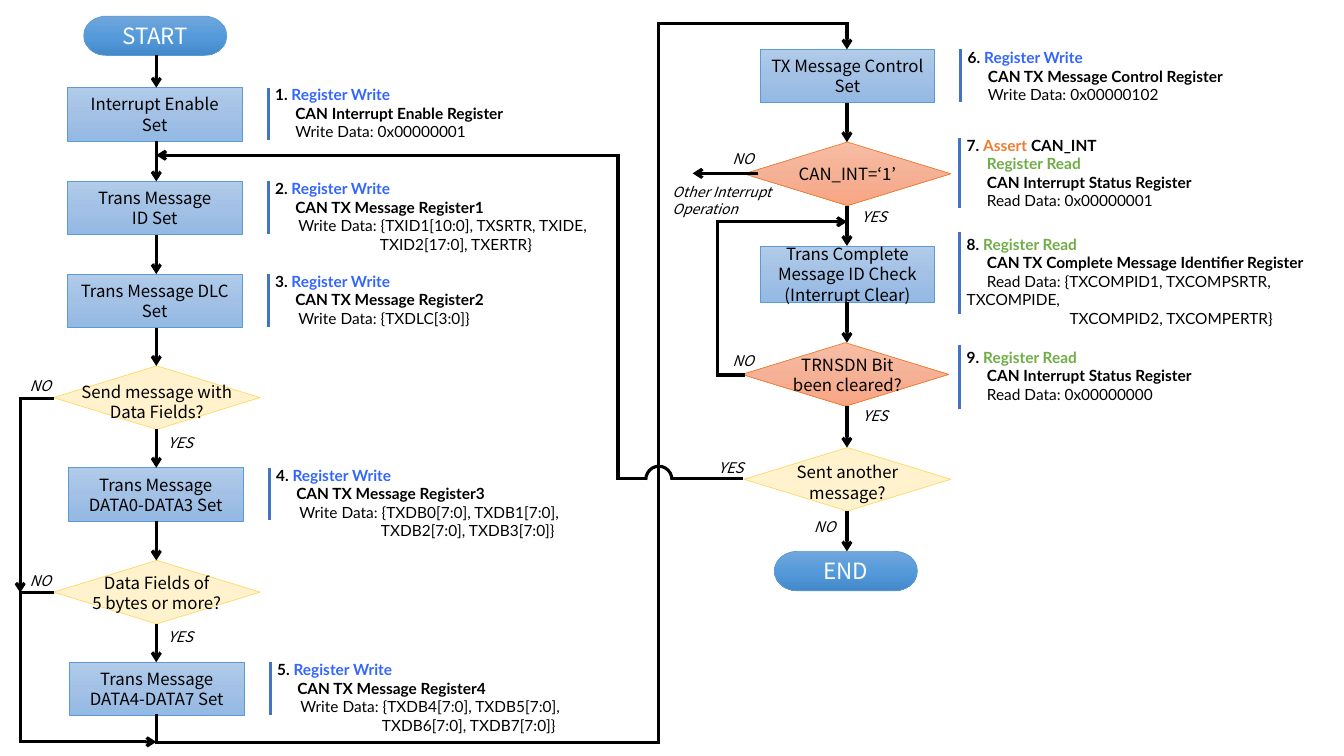
from copy import deepcopy
from itertools import pairwise

from pptx import Presentation
from pptx.dml.color import RGBColor
from pptx.enum.shapes import MSO_CONNECTOR, MSO_SHAPE
from pptx.enum.text import MSO_ANCHOR, PP_ALIGN
from pptx.oxml.ns import qn
from pptx.util import Inches, Pt

FLOW_FONT, NOTE_FONT = "Noto Sans CJK JP", "Lato"
BLACK, BAR_BLUE = "000000", "4472C4"
ACTIONS = {"Register Write": "3366FF", "Register Read": "70AD47", "Assert ": "ED7D31"}
BLUE_STEP = ("B1CBE9", "A3C1E5", "93B9E4")
BLUE_CAP = ("71A6DB", "559BDB", "448ACA")
ORANGE_CHECK = ("F7BDA5", "F5B196", "F8A582")

KINDS = {
    "cap": (MSO_SHAPE.FLOWCHART_TERMINATOR, 1.42, 0.39, BLUE_CAP, "5B9BD5"),
    "step": (MSO_SHAPE.RECTANGLE, 1.73, 0.53, BLUE_STEP, "5B9BD5"),
    "tall step": (MSO_SHAPE.RECTANGLE, 1.73, 0.56, BLUE_STEP, "5B9BD5"),
    "choice": (MSO_SHAPE.FLOWCHART_DECISION, 2.05, 0.63, ("FFF2CC",), "FFD966"),
    "check": (MSO_SHAPE.FLOWCHART_DECISION, 2.05, 0.63, ORANGE_CHECK, "ED7D31"),
}


def colour(value):
    """Turn a hex string into a colour."""
    return RGBColor.from_string(value)


def write(paragraph, text, size=12, font=FLOW_FONT, color=BLACK, bold=False,
          italic=False, align=PP_ALIGN.LEFT):
    """Add one formatted run to a paragraph."""
    paragraph.alignment = align
    run = paragraph.add_run()
    run.text = text
    run.font.name, run.font.size = font, Pt(size)
    run.font.bold, run.font.italic = bold, italic
    run.font.color.rgb = colour(color)


def next_paragraph(frame, index):
    """Return the first paragraph, or a new one after it."""
    return frame.add_paragraph() if index else frame.paragraphs[0]


def fill_frame(frame, text, anchor=MSO_ANCHOR.MIDDLE, **style):
    """Write each line of text as a paragraph of a wrapped frame."""
    frame.word_wrap = True
    frame.vertical_anchor = anchor
    for index, line in enumerate(text.split("\n")):
        write(next_paragraph(frame, index), line, **style)


def add_box(slide, left, top, width, height):
    """Add an empty text box and return its frame."""
    box = slide.shapes.add_textbox(Inches(left), Inches(top), Inches(width), Inches(height))
    return box.text_frame


def paint(shape, colours, line):
    """Give a shape a plain or vertical gradient fill and a thin outline."""
    shape.shadow.inherit = False
    shape.line.color.rgb, shape.line.width = colour(line), Pt(0.5)
    if len(colours) == 1:
        shape.fill.solid()
        shape.fill.fore_color.rgb = colour(colours[0])
        return
    shape.fill.gradient()
    shape.fill.gradient_angle = 270
    stop_list = shape._element.spPr.find(qn("a:gradFill")).find(qn("a:gsLst"))
    stop_list.append(deepcopy(stop_list[0]))
    for stop, value, position in zip(shape.fill.gradient_stops, colours, (0, 0.5, 1)):
        stop.color.rgb, stop.position = colour(value), position


def add_line(slide, start, end, color=BLACK, arrow=False):
    """Draw a straight line, with an arrowhead at its end on request."""
    points = [Inches(value) for value in (*start, *end)]
    line = slide.shapes.add_connector(MSO_CONNECTOR.STRAIGHT, *points)
    line.line.color.rgb, line.line.width = colour(color), Pt(2.25)
    properties = line._element.spPr
    outline = properties.find(qn("a:ln"))
    if arrow:
        outline.makeelement(qn("a:tailEnd"), {})
        head = outline.makeelement(qn("a:tailEnd"), {"type": "arrow"})
        outline.append(head)
    properties.append(properties.makeelement(qn("a:effectLst"), {}))
    return outline


def add_route(slide, left, top, points, arrow=True):
    """Join points by lines, the last one with an arrowhead."""
    points = [(left + x, top + y) for x, y in points]
    segments = list(pairwise(points))
    for index, (start, end) in enumerate(segments):
        last = index == len(segments) - 1
        outline = add_line(slide, start, end, arrow=arrow and last)
        if not last:
            outline.set("cap", "sq")


def add_node(slide, axis, left, top, kind, text, drop):
    """Add a flowchart node with its text."""
    preset, width, height, colours, line = KINDS[kind]
    shape = slide.shapes.add_shape(preset, Inches(left), Inches(top),
                                   Inches(width), Inches(height))
    paint(shape, colours, line)
    if preset == MSO_SHAPE.FLOWCHART_DECISION:
        frame = add_box(slide, axis - 0.91, top + 0.16 + drop, 1.83, 0.31)
    else:
        frame = shape.text_frame
    style = {"size": 16, "color": "FFFFFF"} if kind == "cap" else {}
    fill_frame(frame, text, align=PP_ALIGN.CENTER, **style)


def add_note(slide, left, top, width, bar_top, bar_height, lines):
    """Add a register note with a bar at its left."""
    add_line(slide, (left + 0.03, bar_top), (left + 0.03, bar_top + bar_height), BAR_BLUE)
    frame = add_box(slide, left, top, width, 0.1 + 0.18 * len(lines))
    frame.word_wrap = True
    for index, (indent, bold, *parts) in enumerate(lines):
        paragraph = next_paragraph(frame, index)
        paragraph._p.get_or_add_pPr().set("indent", str(Inches(indent)))
        for part in parts:
            write(paragraph, part, size=11, font=NOTE_FONT, bold=bold,
                  color=ACTIONS.get(part, BLACK))


def register(number, action, name, *data):
    """Return the lines of a note on one register access."""
    return [(0, True, f"{number}. ", action), (0.2, True, name),
            *((indent, False, text) for indent, text in data)]


def draw_column(slide, left, top, axis, nodes, labels, notes, note_width):
    """Draw one column of the flow: nodes, arrows, answers and notes."""
    for node_left, node_top, kind, text, drop in nodes:
        add_node(slide, left + axis, left + node_left, top + node_top, kind, text, drop)
    for upper, lower in pairwise(nodes):
        bottom = upper[1] + KINDS[upper[2]][2]
        add_route(slide, left, top, [(axis, bottom), (axis, lower[1])])
    for text, centre, label_top in labels:
        fill_frame(add_box(slide, left + centre - 0.25, top + label_top, 0.5, 0.29), text,
                   MSO_ANCHOR.TOP, size=10.5, italic=True, align=PP_ALIGN.CENTER)
    for note_left, note_top, bar_top, bar_height, lines in notes:
        add_note(slide, left + note_left, top + note_top, note_width,
                 top + bar_top, bar_height, lines)


def draw_setup(slide, left, top):
    """Draw the left column, which sets up the message."""
    nodes = [(0.63, 0.16, "cap", "START", 0),
             (0.47, 0.87, "step", "Interrupt Enable Set", 0),
             (0.47, 1.8, "step", "Trans Message\nID Set", 0),
             (0.47, 2.72, "step", "Trans Message DLC Set", 0),
             (0.33, 3.63, "choice", "Send message with Data Fields?", 0.04),
             (0.48, 4.64, "step", "Trans Message DATA0-DATA3 Set", 0),
             (0.33, 5.56, "choice", "Data Fields of\n5 bytes or more?", 0.01),
             (0.49, 6.57, "step", "Trans Message DATA4-DATA7 Set", 0)]
    labels = [("NO", 0.2, 3.69), ("YES", 1.59, 4.25), ("NO", 0.2, 5.62), ("YES", 1.59, 6.18)]
    details = [(2.43, 0.87, "CAN Interrupt Enable Register", [(0.2, "Write Data: 0x00000001")]),
               (2.43, 1.8, "CAN TX Message Register1",
                [(0.23, "Write Data: {TXID1[10:0], TXSRTR, TXIDE,"),
                 (1.04, "TXID2[17:0], TXERTR}")]),
               (2.43, 2.72, "CAN TX Message Register2", [(0.23, "Write Data: {TXDLC[3:0]}")])]
    for part, bar_top in enumerate((4.64, 6.57)):
        first, second, third, fourth = (f"TXDB{4 * part + byte}[7:0]" for byte in range(4))
        details.append((2.44 + 0.01 * part, bar_top, f"CAN TX Message Register{3 + part}",
                        [(0.23, f"Write Data: {{{first}, {second},"),
                         (1.04, f"{third}, {fourth}}}")]))
    notes = [(x, y - 0.07, y, 0.52, register(number, "Register Write", name, *data))
             for number, (x, y, name, data) in enumerate(details, 1)]
    draw_column(slide, left, top, 1.35, nodes, labels, notes, 3.39)
    add_route(slide, left, top, [(0.32, 3.95), (0, 3.95), (0, 5.88)])
    add_route(slide, left, top, [(0.32, 5.88), (0, 5.88), (0, 7.36), (1.35, 7.36)])


def draw_transmission(slide, left, top):
    """Draw the right column, which sends the message and checks it."""
    nodes = [(1.41, 0.49, "step", "TX Message Control Set", 0),
             (1.25, 1.41, "check", "CAN_INT=‘1’", 0),
             (1.41, 2.44, "tall step", "Trans Complete\nMessage ID Check\n(Interrupt Clear)", 0),
             (1.23, 3.4, "check", "TRNSDN Bit\nbeen cleared?", 0),
             (1.25, 4.44, "choice", "Sent another message?", 0.03),
             (1.55, 5.47, "cap", "END", 0)]
    labels = [("NO", 1.24, 1.44), ("YES", 2.54, 2.01), ("NO", 1.24, 3.44),
              ("YES", 2.55, 3.99), ("YES", 1.12, 4.5), ("NO", 2.05, 5.09)]
    status = "CAN Interrupt Status Register"
    interrupt = [(0, True, "7. ", "Assert ", "CAN_INT"), (0.2, True, "Register Read"),
                 (0.2, True, status), (0.2, False, "Read Data: 0x00000001")]
    notes = [(3.37, 0.43, 0.49, 0.52,
              register(6, "Register Write", "CAN TX Message Control Register",
                       (0.2, "Write Data: 0x00000102"))),
             (3.36, 1.3, 1.37, 0.69, interrupt),
             (3.36, 2.28, 2.3, 0.82,
              register(8, "Register Read", "CAN TX Complete Message Identifier Register",
                       (0.2, "Read Data: {TXCOMPID1, TXCOMPSRTR, TXCOMPIDE,"),
                       (1.02, "TXCOMPID2, TXCOMPERTR}"))),
             (3.36, 3.4, 3.42, 0.64,
              register(9, "Register Read", status, (0.2, "Read Data: 0x00000000")))]
    draw_column(slide, left, top, 2.27, nodes, labels, notes, 3.64)
    frame = add_box(slide, left + 0.54, top + 1.77, 1.2, 0.44)
    frame.margin_left = frame.margin_right = 0
    fill_frame(frame, "Other Interrupt Operation", MSO_ANCHOR.TOP, size=10, italic=True)
    add_route(slide, left, top, [(1.39, 1.72), (0.74, 1.72)])
    add_route(slide, left, top, [(1.24, 3.72), (0.99, 3.72), (0.99, 2.2), (2.27, 2.2)])


def draw_links(slide, left, top):
    """Draw the two routes between the columns and the bridge where they cross."""
    add_route(slide, left, top, [(0, 7.1), (0, 7.37), (4.98, 7.37), (4.98, 0.23),
                                 (6.85, 0.23), (6.85, 0.49)])
    add_route(slide, left, top, [(5.82, 4.75), (5.11, 4.75)], arrow=False)
    add_route(slide, left, top, [(4.85, 4.75), (4.58, 4.75), (4.58, 1.54), (0, 1.54)])
    bridge = slide.shapes.add_shape(MSO_SHAPE.ARC, Inches(left + 4.85), Inches(top + 4.63),
                                    Inches(0.27), Inches(0.26))
    bridge.adjustments[0], bridge.adjustments[1] = 162, 54
    bridge.rotation = 270
    bridge.shadow.inherit = False
    bridge.fill.background()
    bridge.line.color.rgb, bridge.line.width = colour(BLACK), Pt(2.25)


presentation = Presentation()
presentation.slide_width, presentation.slide_height = Inches(13.33), Inches(7.5)
flow_slide = presentation.slides.add_slide(presentation.slide_layouts[6])
draw_setup(flow_slide, 0.2, 0)
draw_transmission(flow_slide, 6.13, 0)
draw_links(flow_slide, 1.55, 0)
presentation.save("out.pptx")
